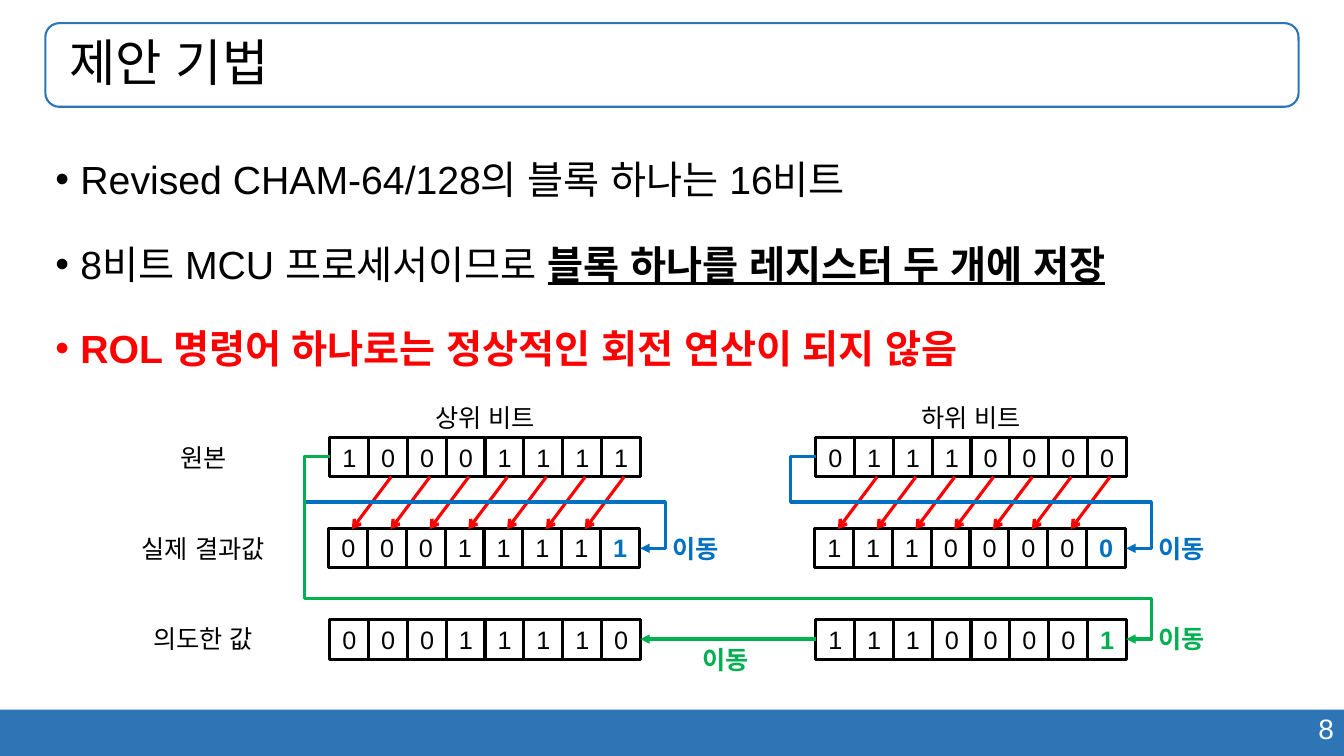
from lxml.etree import SubElement
from pptx import Presentation
from pptx.dml.color import RGBColor
from pptx.enum.shapes import MSO_CONNECTOR, MSO_SHAPE
from pptx.enum.text import MSO_ANCHOR, PP_ALIGN
from pptx.oxml.ns import qn
from pptx.util import Inches, Pt

BLACK = RGBColor(0x00, 0x00, 0x00)
WHITE = RGBColor(0xFF, 0xFF, 0xFF)
NAVY = RGBColor(0x2E, 0x75, 0xB6)
BLUE = RGBColor(0x00, 0x70, 0xC0)
GREEN = RGBColor(0x00, 0xB0, 0x50)
RED = RGBColor(0xFF, 0x00, 0x00)

CELL_SIZE = 0.39
CELL_PITCH = 0.385
ELBOW_MARGIN = 0.25
SOURCE_TOP, RESULT_TOP, INTENDED_TOP = 4.34, 5.24, 6.15
HIGH_LEFT, LOW_LEFT = 3.27, 8.09
REGISTER_WIDTH = 3.08


class SlideBuilder:
    font_name = "Arial"
    line_width = 2.25

    def __init__(self, slide):
        self.slide = slide

    def run(self, paragraph, text, **formats):
        run = paragraph.add_run()
        run.text = text
        color = formats.pop("color", BLACK)
        values = {"name": self.font_name, "size": Pt(18), **formats}
        for name, value in values.items():
            setattr(run.font, name, value)
        run.font.color.rgb = color
        SubElement(run._r.get_or_add_rPr(), qn("a:ea")).set("typeface", self.font_name)

    def text(self, box, text, align=PP_ALIGN.CENTER, wrap=True,
             anchor=MSO_ANCHOR.TOP, **formats):
        shape = self.slide.shapes.add_textbox(*map(Inches, box))
        shape.text_frame.word_wrap = wrap
        shape.text_frame.vertical_anchor = anchor
        paragraph = shape.text_frame.paragraphs[0]
        paragraph.alignment = align
        self.run(paragraph, text, **formats)
        return paragraph

    def bullets(self, box, items):
        frame = self.slide.shapes.add_textbox(*map(Inches, box)).text_frame
        frame.word_wrap = True
        for index, runs in enumerate(items):
            paragraph = frame.add_paragraph() if index else frame.paragraphs[0]
            paragraph.line_spacing = 1.5
            paragraph.space_before = Pt(10 if index else 0)
            properties = paragraph._p.get_or_add_pPr()
            properties.set("marL", str(Inches(0.25)))
            properties.set("indent", str(Inches(-0.25)))
            SubElement(properties, qn("a:buFont")).set("typeface", self.font_name)
            SubElement(properties, qn("a:buChar")).set("char", "•")
            for text, formats in runs:
                self.run(paragraph, text, size=Pt(28), **formats)

    def shape(self, kind, box, fill=None, line=None, width=line_width):
        shape = self.slide.shapes.add_shape(kind, *map(Inches, box))
        shape.shadow.inherit = False
        if fill is None:
            shape.fill.background()
        else:
            shape.fill.solid()
            shape.fill.fore_color.rgb = fill
        if line is None:
            shape.line.fill.background()
        else:
            shape.line.color.rgb = line
            shape.line.width = Pt(width)
        return shape

    def register(self, left, top, bits, last_color=None):
        for index, bit in enumerate(bits):
            box = (left + index * CELL_PITCH, top, CELL_SIZE, CELL_SIZE)
            cell = self.shape(MSO_SHAPE.RECTANGLE, box, WHITE, BLACK)
            cell.text_frame.vertical_anchor = MSO_ANCHOR.MIDDLE
            paragraph = cell.text_frame.paragraphs[0]
            paragraph.alignment = PP_ALIGN.CENTER
            formats = {}
            if last_color is not None and index == len(bits) - 1:
                formats = {"color": last_color, "bold": True}
            self.run(paragraph, bit, **formats)

    def arrow(self, start, end, color, head="triangle", kind=MSO_CONNECTOR.STRAIGHT):
        connector = self.slide.shapes.add_connector(kind, *map(Inches, start + end))
        connector.line.color.rgb = color
        connector.line.width = Pt(self.line_width)
        SubElement(connector.line._get_or_add_ln(), qn("a:tailEnd")).set("type", head)
        SubElement(connector._element.spPr, qn("a:effectLst"))
        return connector

    def elbow(self, start, end, bend_top, color):
        connector = self.arrow(start, end, color, kind=MSO_CONNECTOR.ELBOW)
        margin = ELBOW_MARGIN / (end[0] - start[0])
        bend = (bend_top - start[1]) / (end[1] - start[1])
        geometry = connector._element.spPr.find(qn("a:prstGeom"))
        geometry.set("prst", "bentConnector5")
        guides = geometry.find(qn("a:avLst"))
        for number, ratio in enumerate((-margin, bend, 1 + margin), 1):
            guide = SubElement(guides, qn("a:gd"))
            guide.set("name", f"adj{number}")
            guide.set("fmla", f"val {round(ratio * 100000)}")

    def move_label(self, left, top, color):
        self.text((left, top, 0.71, 0.4), "이동", PP_ALIGN.LEFT, False,
                  color=color, bold=True)

    def rotation(self, left, heading, source, result):
        self.register(left, SOURCE_TOP, source)
        self.text((left + 0.46, 3.94, 2.16, 0.4), heading)
        self.register(left - 0.01, RESULT_TOP, result, BLUE)
        for index in range(len(source) - 1):
            start = left + 0.61 + index * CELL_PITCH
            self.arrow((start, 4.73), (start - 0.39, 5.25), RED, "arrow")
        self.move_label(left + 3.3, RESULT_TOP, BLUE)
        self.elbow((left, 4.53), (left + REGISTER_WIDTH, 5.44), 4.98, BLUE)


def main():
    presentation = Presentation()
    presentation.slide_width = Inches(13.33)
    presentation.slide_height = Inches(7.5)
    builder = SlideBuilder(presentation.slides.add_slide(presentation.slide_layouts[6]))

    builder.shape(MSO_SHAPE.RECTANGLE, (0, 7.04, 13.33, 0.46), NAVY)
    builder.text((9.43, 7.01, 3.9, 0.44), "8", PP_ALIGN.RIGHT, size=Pt(20), color=WHITE)
    title_box = (0.45, 0.23, 12.43, 0.83)
    builder.shape(MSO_SHAPE.ROUNDED_RECTANGLE, title_box, line=NAVY, width=1.5)
    title = builder.text(title_box, " 제안 기법", PP_ALIGN.LEFT,
                         anchor=MSO_ANCHOR.MIDDLE, size=Pt(36))
    title.line_spacing = 0.9

    builder.bullets((0.45, 1.26, 12.43, 5.53), [
        [("Revised CHAM-64/128의 블록 하나는 16비트", {})],
        [("8비트 MCU 프로세서이므로 ", {}),
         ("블록 하나를 레지스터 두 개에 저장", {"bold": True, "underline": True})],
        [("ROL 명령어 하나로는 정상적인 회전 연산이 되지 않음",
          {"bold": True, "color": RED})],
    ])

    builder.rotation(HIGH_LEFT, "상위 비트", "10001111", "00011111")
    builder.rotation(LOW_LEFT, "하위 비트", "01110000", "11100000")

    row_labels = {"원본": SOURCE_TOP, "실제 결과값": RESULT_TOP, "의도한 값": 6.13}
    for label, top in row_labels.items():
        builder.text((1.24, top, 1.55, 0.4), label)

    builder.register(HIGH_LEFT, INTENDED_TOP, "00011110")
    builder.register(LOW_LEFT, INTENDED_TOP, "11100001", GREEN)
    builder.elbow((HIGH_LEFT, 4.53), (LOW_LEFT + REGISTER_WIDTH, 6.34), 5.94, GREEN)
    builder.move_label(11.39, 6.13, GREEN)
    builder.arrow((LOW_LEFT, 6.34), (HIGH_LEFT + REGISTER_WIDTH, 6.34), GREEN)
    builder.move_label(6.87, 6.34, GREEN)

    presentation.save("out.pptx")


if __name__ == "__main__":
    main()
